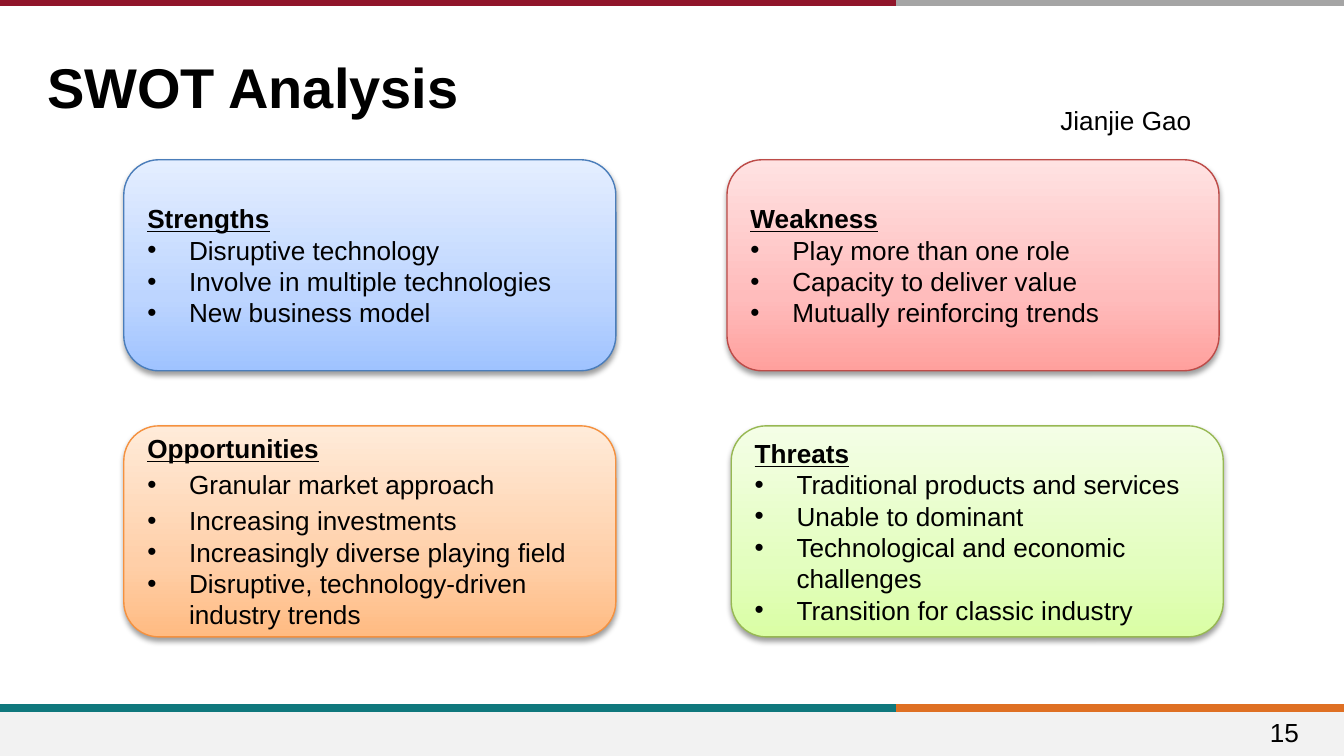
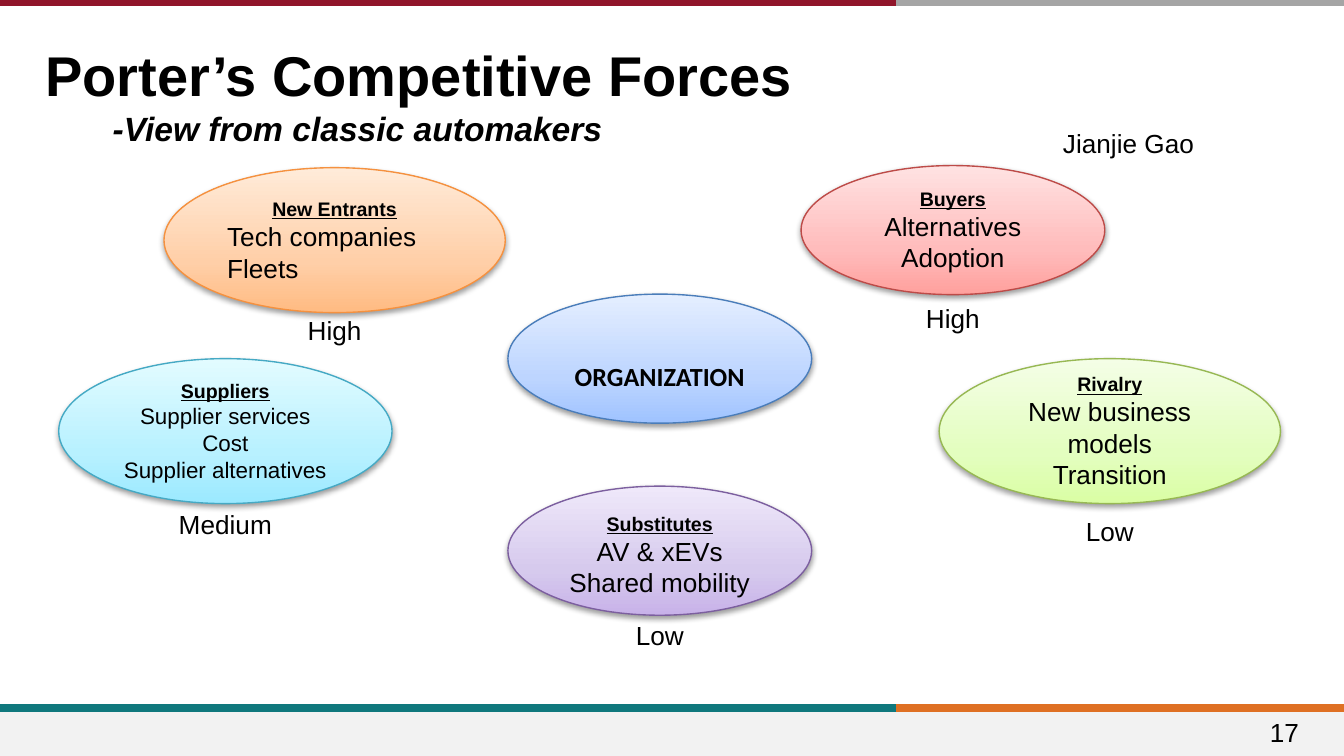
import copy
import dataclasses

import pptx
import pptx.dml.color
import pptx.enum.shapes
import pptx.enum.text
import pptx.oxml
import pptx.oxml.ns
import pptx.util

Cm, Pt = pptx.util.Cm, pptx.util.Pt
RGB = pptx.dml.color.RGBColor.from_string
Kind = pptx.enum.shapes.MSO_SHAPE
Align = pptx.enum.text.PP_ALIGN
Anchor = pptx.enum.text.MSO_ANCHOR
qn = pptx.oxml.ns.qn
NS = pptx.oxml.ns.nsdecls("a")


@dataclasses.dataclass
class Theme:
    font: str = "Arial"
    ink: str = "000000"
    foot: str = "F2F2F2"
    title: float = 30
    sub: float = 18
    body: float = 14
    small: float = 12
    head: float = 10.5
    # Each hue: gradient from bottom to top, then outline
    blue: tuple = ("9FC3FF", "BDD5FF", "E4EEFF", "4A7DBA")
    red: tuple = ("FFA09D", "FFBCBC", "FFE2E2", "BD4B48")
    orange: tuple = ("FFBB82", "FFCFA8", "FFEBD9", "F5913F")
    green: tuple = ("DAFEA4", "E3FEBF", "F4FEE6", "97B853")
    purple: tuple = ("C8B2E9", "D6CAED", "EFE8FA", "7C5F9F")
    cyan: tuple = ("9BE9FF", "B8F1FF", "E2FBFF", "45A9C4")


theme = Theme()


@dataclasses.dataclass
class Tile:
    hue: tuple
    box: tuple
    head: str
    rows: tuple = ()
    size: float = theme.body
    align: int = Align.CENTER
    drop: float = 0     # extra top inset
    loose: int = 0      # rows with wider line spacing
    level: str = ""
    gap: float = 0      # from tile to level label


WIDE, HIGH, SPLIT = 25.4, 14.29, 16.93
BANDS = [  # y, left colour, right colour
    (0.05, "90152A", "A5A5A5"),
    (13.38, "0F787D", "DF7023"),
]
CARD = (9.3, 3.99)
OVAL = (5.74, 2.44)
LABEL = (2.29, 0.76)
INDENT = 0.79

pages = [
    dict(
        title="SWOT Analysis", sub="", spot=(0.64, 0.86), number="15",
        author=(19.79, 1.73), kind=Kind.ROUNDED_RECTANGLE,
        tiles=[
            Tile(theme.blue, (2.34, 3.02, *CARD), "Strengths",
                 ("Disruptive technology", "Involve in multiple technologies",
                  "New business model")),
            Tile(theme.red, (13.74, 3.02, *CARD), "Weakness",
                 ("Play more than one role", "Capacity to deliver value",
                  "Mutually reinforcing trends")),
            Tile(theme.orange, (2.34, 8.05, *CARD), "Opportunities",
                 ("Granular market approach", "Increasing investments",
                  "Increasingly diverse playing field",
                  "Disruptive, technology-driven industry trends"), loose=2),
            Tile(theme.green, (13.82, 8.05, *CARD), "Threats",
                 ("Traditional products and services", "Unable to dominant",
                  "Technological and economic challenges",
                  "Transition for classic industry")),
        ]),
    dict(
        title="Porter’s Competitive Forces",
        sub="-View from classic automakers", spot=(0.61, 0.64), number="17",
        author=(19.84, 2.16), kind=Kind.OVAL,
        tiles=[
            Tile(theme.blue, (9.6, 5.56, *OVAL), "ORGANIZATION", drop=0.66),
            Tile(theme.purple, (9.6, 9.19, *OVAL), "Substitutes",
                 ("AV & xEVs", "Shared mobility"), drop=0.16,
                 level="Low", gap=0.16),
            Tile(theme.cyan, (1.11, 6.78, 6.3, 2.74), "Suppliers",
                 ("Supplier services", "Cost", "Supplier alternatives"),
                 size=theme.small, level="Medium", gap=0.18),
            Tile(theme.orange, (3.1, 3.17, 6.45, 2.74), "New Entrants",
                 ("Tech companies", "Fleets"), align=Align.LEFT,
                 level="High", gap=0.11),
            Tile(theme.red, (15.14, 3.13, *OVAL), "Buyers",
                 ("Alternatives", "Adoption"), level="High", gap=0.22),
            Tile(theme.green, (17.75, 6.78, 6.45, 2.74), "Rivalry",
                 ("New business models", "Transition"),
                 level="Low", gap=0.31),
        ]),
]


def frame(shape, anchor, pad=0.13, drop=0):
    """Set wrapping, anchor and insets, and return the text frame."""
    text = shape.text_frame
    text.word_wrap = True
    text.auto_size = pptx.enum.text.MSO_AUTO_SIZE.NONE
    text.vertical_anchor = anchor
    text.margin_left = text.margin_right = Cm(0.25)
    text.margin_top, text.margin_bottom = Cm(pad + drop), Cm(pad)
    return text


def put(text, words, size, align=Align.LEFT, bold=False, under=False,
        slant=False, font=theme.font):
    """Add one paragraph, filling the empty first one if there is one."""
    para = text.paragraphs[0]
    if para.runs:
        para = text.add_paragraph()
    para.alignment = align
    run = para.add_run()
    run.text = words
    run.font.name, run.font.size = font, Pt(size)
    run.font.bold, run.font.italic, run.font.underline = bold, slant, under
    run.font.color.rgb = RGB(theme.ink)
    return para


deck = pptx.Presentation()
deck.slide_width, deck.slide_height = Cm(WIDE), Cm(HIGH)

for page in pages:
    slide = deck.slides.add_slide(deck.slide_layouts[5])
    shapes = slide.shapes

    # Bands and footer
    foot = shapes.add_shape(Kind.RECTANGLE, 0, Cm(13.43), Cm(WIDE), Cm(0.86))
    foot.shadow.inherit = False
    foot.fill.solid()
    foot.fill.fore_color.rgb = RGB(theme.foot)
    foot.line.fill.background()
    for y, left, right in BANDS:
        for start, end, hue in ((0, SPLIT, left), (SPLIT, WIDE, right)):
            band = shapes.add_connector(
                pptx.enum.shapes.MSO_CONNECTOR.STRAIGHT,
                Cm(start), Cm(y), Cm(end), Cm(y))
            band.line.color.rgb = RGB(hue)
            band.line.width = Pt(4)
            band._element.spPr.append(
                pptx.oxml.parse_xml(f"<a:effectLst {NS}/>"))

    # Title
    title = shapes.title
    title.left, title.top = map(Cm, page["spot"])
    title.width, title.height = Cm(20.3), Cm(1.12)
    text = frame(title, Anchor.TOP)
    put(text, page["title"], theme.title, bold=True)
    if page["sub"]:
        para = put(text, page["sub"], theme.sub, bold=True, slant=True)
        props = para._p.get_or_add_pPr()
        props.set("marL", "0")
        props.set("indent", str(Cm(1.27)))

    # Tiles
    cards = page["kind"] == Kind.ROUNDED_RECTANGLE
    labels = [
        (page["number"], (23.75, 13.46, 1.32, 0.76), Anchor.MIDDLE,
         Align.LEFT, 0.13),
        ("Jianjie Gao", (*page["author"], 4.7, 0.86), Anchor.TOP,
         Align.LEFT, 0.25),
    ]
    for tile in page["tiles"]:
        x, y, wide, high = tile.box
        shape = shapes.add_shape(page["kind"], *map(Cm, tile.box))
        shape.fill.gradient()
        shape.fill.gradient_angle = 90
        stops = shape._element.spPr.find(".//" + qn("a:gsLst"))
        stops.insert(1, copy.deepcopy(stops[0]))
        for stop, hue, spot in zip(shape.fill.gradient_stops, tile.hue,
                                   (0, 0.35, 1)):
            stop.color.rgb = RGB(hue)
            stop.position = spot
        shape.line.color.rgb = RGB(tile.hue[3])
        shape.line.width = Pt(0.75)
        shape.shadow.inherit = False
        shape._element.spPr.find(qn("a:effectLst")).append(
            pptx.oxml.parse_xml(
                f'<a:outerShdw {NS} blurRad="{Pt(3.1)}" dist="{Pt(1.6)}" '
                'dir="5400000" rotWithShape="0"><a:srgbClr val="000000">'
                '<a:alpha val="38000"/></a:srgbClr></a:outerShdw>'))

        text = frame(shape, Anchor.MIDDLE, drop=tile.drop)
        if cards:
            put(text, tile.head, theme.body, bold=True, under=True)
        elif tile.rows:
            put(text, tile.head, theme.head, Align.CENTER, bold=True,
                under=True)
        else:
            put(text, tile.head, theme.body, Align.CENTER, bold=True,
                font="Calibri")
        for i, row in enumerate(tile.rows):
            para = put(text, row, tile.size,
                       Align.LEFT if cards else tile.align)
            if i < tile.loose:
                para.line_spacing = 1.15
            if cards:
                props = para._p.get_or_add_pPr()
                props.set("marL", str(Cm(INDENT)))
                props.set("indent", str(-Cm(INDENT)))
                for mark in (
                        f'<a:buClr {NS}><a:srgbClr val="{theme.ink}"/>'
                        '</a:buClr>',
                        f'<a:buFont {NS} typeface="{theme.font}"/>',
                        f'<a:buChar {NS} char="•"/>'):
                    props.append(pptx.oxml.parse_xml(mark))
        if tile.level:
            spot = (x + (wide - LABEL[0]) / 2, y + high + tile.gap)
            labels.append((tile.level, (*spot, *LABEL), Anchor.BOTTOM,
                           Align.CENTER, 0.25))

    # Page number, author and levels
    for words, box, anchor, align, pad in labels:
        label = shapes.add_textbox(*map(Cm, box))
        put(frame(label, anchor, pad), words, theme.body, align)

deck.save("out.pptx")
